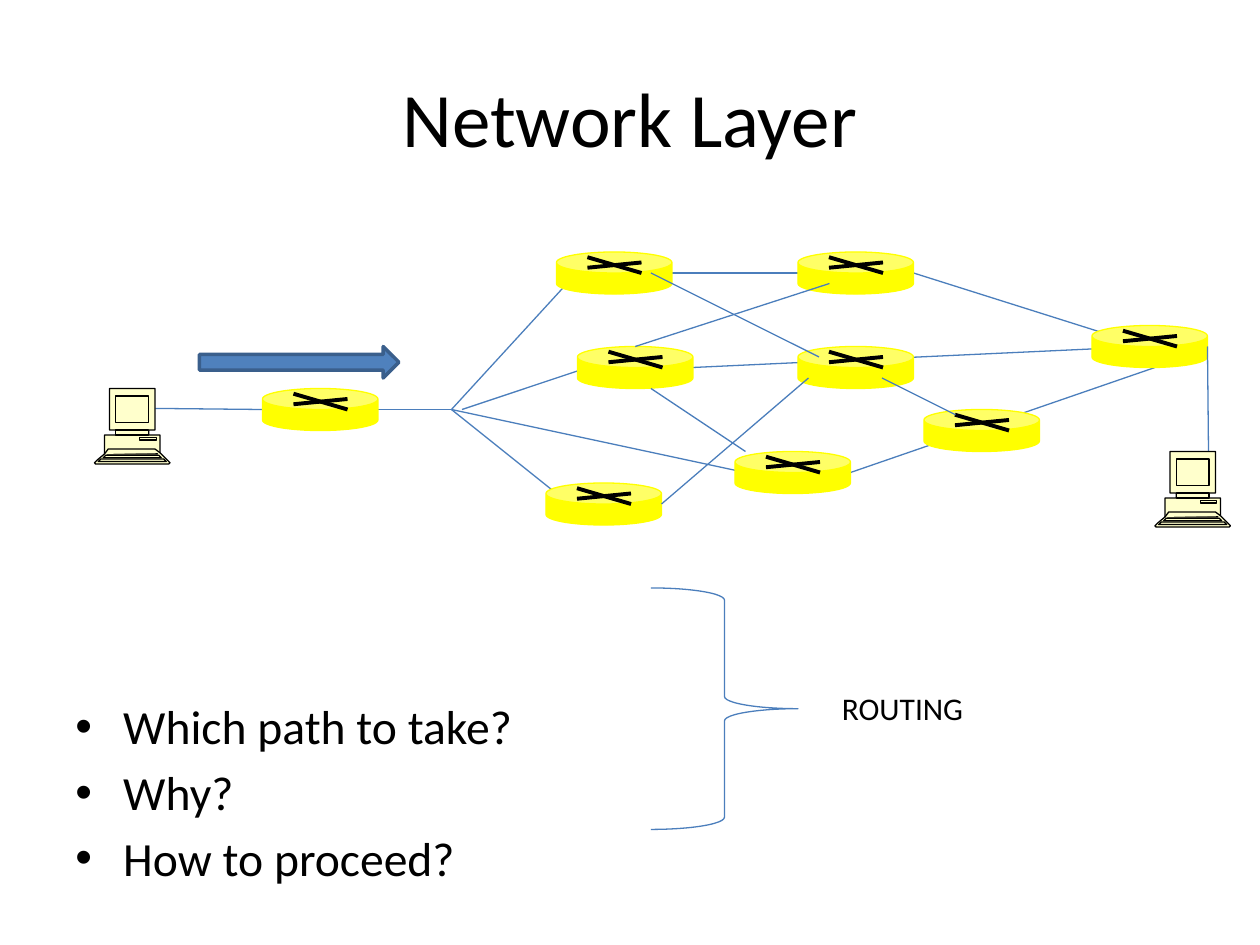
from copy import deepcopy

from lxml.etree import SubElement
from pptx import Presentation
from pptx.dml.color import RGBColor
from pptx.enum.shapes import MSO_CONNECTOR, MSO_SHAPE
from pptx.enum.text import MSO_ANCHOR, PP_ALIGN
from pptx.oxml.ns import qn
from pptx.util import Inches, Pt

COLORS = {"text": "000000", "router": "FFFF00", "link": "4B7EBC",
          "computer": "FFFFCC", "arrow": "4F81BD", "arrow_edge": "3A5F8C"}
COLORS = {name: RGBColor.from_string(value) for name, value in COLORS.items()}
COLUMNS, ROWS = 120, 90

deck = Presentation()
deck.slide_width, deck.slide_height = Inches(10), Inches(7.5)
CELL_W, CELL_H = deck.slide_width / COLUMNS, deck.slide_height / ROWS
slide = deck.slides.add_slide(deck.slide_layouts[5])


def cells(*lengths):
    return [round(length * (CELL_H if i % 2 else CELL_W)) for i, length in enumerate(lengths)]


def draw_line(shapes, ends, color, width):
    connector = shapes.add_connector(MSO_CONNECTOR.STRAIGHT, *cells(*ends))
    connector.line.color.rgb = COLORS[color]
    connector.line.width = Pt(width)
    SubElement(connector.element.spPr, qn("a:effectLst"))


title = slide.shapes.title
title.left, title.top, title.width, title.height = cells(6, 3.6, 108, 15)
title.text_frame.text = "Network Layer"
title.text_frame.vertical_anchor = MSO_ANCHOR.MIDDLE
heading = title.text_frame.paragraphs[0]
heading.alignment = PP_ALIGN.CENTER
heading.runs[0].font.size = Pt(44)
heading.runs[0].font.name = "Calibri"
heading.runs[0].font.color.rgb = COLORS["text"]

links_behind = [
    (14.8, 38.9, 25, 39), (36, 39, 43, 39), (43, 39, 54, 27), (44, 39, 56, 35),
    (43, 39, 71, 45), (43, 39, 53, 47), (64, 26, 79, 26), (66, 35, 109, 33),
    (81, 45, 110, 35), (87, 26, 106, 32),
]
for ends in links_behind:
    draw_line(slide.shapes, ends, "link", 0.75)

routers = [(25, 37), (53, 24), (52, 46), (70, 43), (55, 33),
           (88, 39), (76, 33), (76, 24), (104, 31)]
for column, row in routers:
    router = slide.shapes.add_group_shape()
    body = router.shapes.add_shape(MSO_SHAPE.CAN, *cells(column, row, 11, 4))
    body.adjustments[0] = 0.5
    body.shadow.inherit = False
    body.fill.solid()
    body.fill.fore_color.rgb = COLORS["router"]
    body.line.color.rgb = COLORS["router"]
    body.line.width = Pt(0.75)
    for start, end in ((0.5, 2), (1.5, 1)):
        draw_line(router.shapes, (column + 2.95, row + start, column + 8.1, row + end), "text", 2.25)

links_in_front = [
    (63, 48, 77, 36), (71, 43, 62, 37), (78, 34, 62, 26),
    (60.5, 33, 79, 27), (115, 33, 115.1, 43), (84, 36, 91, 39.5),
]
for ends in links_in_front:
    draw_line(slide.shapes, ends, "link", 0.75)

computer_outlines = [
    ([(58, 57), (52, 51), (52, 37), (43, 37), (43, 33), (48, 33), (48, 0), (12, 0),
      (12, 33), (17, 33), (17, 37), (8, 37), (8, 52), (2, 57), (0, 59), (1, 60),
      (59, 60), (60, 59)], True),
    ([(50, 52), (48, 50), (12, 50), (10, 52)], True),
    ([(53, 55), (51, 53), (9, 53), (7, 55)], True),
    ([(57, 58), (55, 56), (5, 56), (3, 58)], True),
    ([(52, 51), (48, 48), (11, 48), (8, 52)], False),
    ([(36, 39), (36, 41), (49, 41), (49, 39)], True),
    ([(17, 6), (17, 27), (43, 27), (43, 6)], True),
    ([(17, 33), (43, 33), (43, 37), (17, 37)], True),
]
for column, row in ((9, 37), (110, 43)):
    builder = slide.shapes.build_freeform(*computer_outlines[0][0][0], scale=Inches(0.01))
    for points, closed in computer_outlines:
        builder.move_to(*points[0])
        builder.add_line_segments(points[1:], close=closed)
    computer = builder.convert_to_shape(*cells(column, row))
    computer.shadow.inherit = False
    computer.fill.solid()
    computer.fill.fore_color.rgb = COLORS["computer"]
    computer.line.color.rgb = COLORS["text"]
    computer.line.width = Pt(0.75)
    merged = next(computer.element.iter(qn("a:path")))
    outlines = merged.getparent()
    outlines.remove(merged)
    for step in list(merged):
        if step.tag == qn("a:moveTo"):
            outline = deepcopy(merged)
            for child in list(outline):
                outline.remove(child)
            outlines.append(outline)
        outline.append(step)
    for outline in list(outlines):
        if len(outline) == 1:
            outlines.remove(outline)

direction = slide.shapes.add_shape(MSO_SHAPE.RIGHT_ARROW, *cells(19, 33, 19, 3))
direction.shadow.inherit = False
direction.fill.solid()
direction.fill.fore_color.rgb = COLORS["arrow"]
direction.line.color.rgb = COLORS["arrow_edge"]
direction.line.width = Pt(2)

brace = slide.shapes.add_shape(MSO_SHAPE.RIGHT_BRACE, *cells(62, 56, 14, 23))
brace.shadow.inherit = False
brace.fill.background()
brace.line.color.rgb = COLORS["link"]
brace.line.width = Pt(0.75)

captions = [
    ((6, 65.8, 54, 20), ["Which path to take?", "Why?", "How to proceed?"], 27.2, True),
    ((79, 65, 29, 4.8), ["ROUTING"], 18, False),
]
for place, lines, size, bulleted in captions:
    frame = slide.shapes.add_textbox(*cells(*place)).text_frame
    frame.word_wrap = True
    frame.text = "\n".join(lines)
    for paragraph in frame.paragraphs:
        font = paragraph.runs[0].font
        font.size = Pt(size)
        font.name = "Calibri"
        font.color.rgb = COLORS["text"]
        if bulleted:
            paragraph.space_after = Pt(5)
            properties = paragraph._p.get_or_add_pPr()
            properties.set("marL", str(Inches(0.38)))
            properties.set("indent", str(-Inches(0.38)))
            SubElement(properties, qn("a:buFont"), typeface="Arial")
            SubElement(properties, qn("a:buChar"), char="•")

deck.save("out.pptx")
